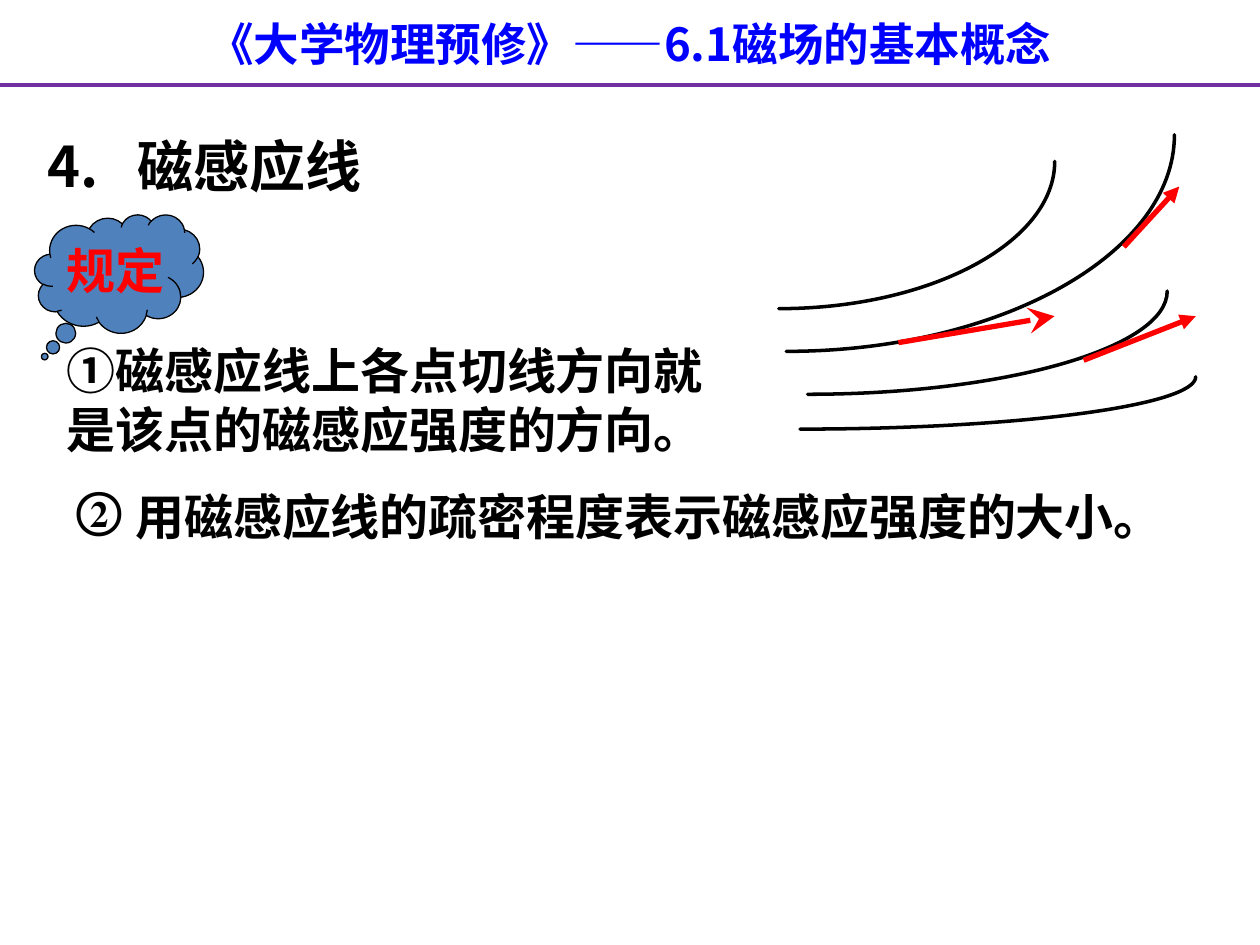
from pptx import Presentation
from pptx.dml.color import RGBColor
from pptx.enum import shapes, text
from pptx.oxml.ns import qn
from pptx.util import Pt
from lxml import etree

BLUE = RGBColor(0x00, 0x00, 0xFF)
PURPLE = RGBColor(0x70, 0x30, 0xA0)
RED = RGBColor(0xFF, 0x00, 0x00)
BLACK = RGBColor(0x00, 0x00, 0x00)
CLOUD = RGBColor(0x4F, 0x81, 0xBD)
SANS = "Noto Sans CJK SC"


def write(sp, content, box, size=28, font="Calibri", east=None, color=BLACK,
          align=text.PP_ALIGN.LEFT, wrap=True, tab=None):
    sp.left, sp.top, sp.width, sp.height = [Pt(v) for v in box]
    tf = sp.text_frame
    tf.auto_size = text.MSO_AUTO_SIZE.NONE
    tf.word_wrap = wrap
    tf.vertical_anchor = text.MSO_ANCHOR.MIDDLE
    p = tf.paragraphs[0]
    p.alignment = align
    if tab:
        tabs = etree.SubElement(p._p.get_or_add_pPr(), qn("a:tabLst"))
        etree.SubElement(tabs, qn("a:tab"), pos=str(Pt(tab)), algn="l")
    r = p.add_run()
    r.text = content
    r.font.size, r.font.bold, r.font.name = Pt(size), True, font
    r.font.color.rgb = color
    if east:
        etree.SubElement(r._r.get_or_add_rPr(), qn("a:ea"), typeface=east)


def draw_line(x1, y1, x2, y2, color, width, head=None, head_size="med"):
    ln = s.shapes.add_connector(shapes.MSO_CONNECTOR.STRAIGHT,
                                Pt(x1), Pt(y1), Pt(x2), Pt(y2))
    ln.line.color.rgb = color
    ln.line.width = Pt(width)
    if head:
        etree.SubElement(ln.line._get_or_add_ln(), qn("a:tailEnd"),
                         type=head, w=head_size, len=head_size)
    etree.SubElement(ln._element.spPr, qn("a:effectLst"))


prs = Presentation()
prs.slide_width, prs.slide_height = Pt(720), Pt(540)
s = prs.slides.add_slide(prs.slide_layouts[5])

# Title bar
write(s.shapes.title, "《大学物理预修》——6.1磁场的基本概念", (0, 5.4, 720, 38.9),
      size=26, font=SANS, east=SANS, color=BLUE, align=text.PP_ALIGN.CENTER)
draw_line(0, 48.7, 720, 48.7, PURPLE, 2.25)

# Thought cloud
cloud = s.shapes.add_shape(shapes.MSO_SHAPE.CLOUD_CALLOUT,
                           Pt(19.8), Pt(122.6), Pt(96.5), Pt(67.7))
cloud.adjustments[0], cloud.adjustments[1] = -0.44, 0.7
cloud.shadow.inherit = False
cloud.fill.solid()
cloud.fill.fore_color.rgb = CLOUD
cloud.line.color.rgb = BLACK
cloud.line.width = Pt(0.75)

# Heading, cloud label and the two rules
for content, box, style in [
    ("4.\t磁感应线", (20.2, 71.3, 294.5, 46), dict(size=32, font=SANS, east=SANS, tab=51)),
    ("规定", (31, 134, 70.6, 41), dict(color=RED, wrap=False)),
    ("①磁感应线上各点切线方向就是该点的磁感应强度的方向。", (31, 190.8, 396.7, 75), {}),
    ("②", (36.7, 270, 42.5, 41), dict(font="Times New Roman", wrap=False)),
    ("用磁感应线的疏密程度表示磁感应强度的大小。", (70.2, 274.3, 612, 41),
     dict(font="Times New Roman", wrap=False)),
]:
    write(s.shapes.add_textbox(0, 0, 0, 0), content, box, **style)

# Field lines: quarter ellipses, each one cubic curve through two control points
KAPPA = 0.55
for x, y, w, h in [(449.3, 77, 221.8, 123.8), (461.5, 166.3, 205.5, 59),
                   (445, 92.2, 157.7, 84.2), (457.2, 215.3, 226.1, 29.9)]:
    builder = s.shapes.build_freeform(Pt(x + w), Pt(y))
    builder.add_line_segments([(Pt(x + w), Pt(y + KAPPA * h)),
                               (Pt(x + KAPPA * w), Pt(y + h)),
                               (Pt(x), Pt(y + h))], close=False)
    curve = builder.convert_to_shape()
    outline = next(curve._element.iter(qn("a:path")))
    bezier = etree.SubElement(outline, qn("a:cubicBezTo"))
    for segment in outline.findall(qn("a:lnTo")):
        bezier.append(segment[0])
        outline.remove(segment)
    curve.shadow.inherit = False
    curve.fill.background()
    curve.line.color.rgb = BLACK
    curve.line.width = Pt(2)
    curve.line._get_or_add_ln().set("cap", "rnd")

# Tangent arrows
for x1, y1, x2, y2, head, size in [
    (513.4, 195.8, 602.6, 180.7, "stealth", "lg"),
    (642.2, 141.1, 673.9, 106.6, "triangle", "med"),
    (619.2, 205.9, 683.3, 180.7, "triangle", "med"),
]:
    draw_line(x1, y1, x2, y2, RED, 3, head, size)

prs.save("out.pptx")
